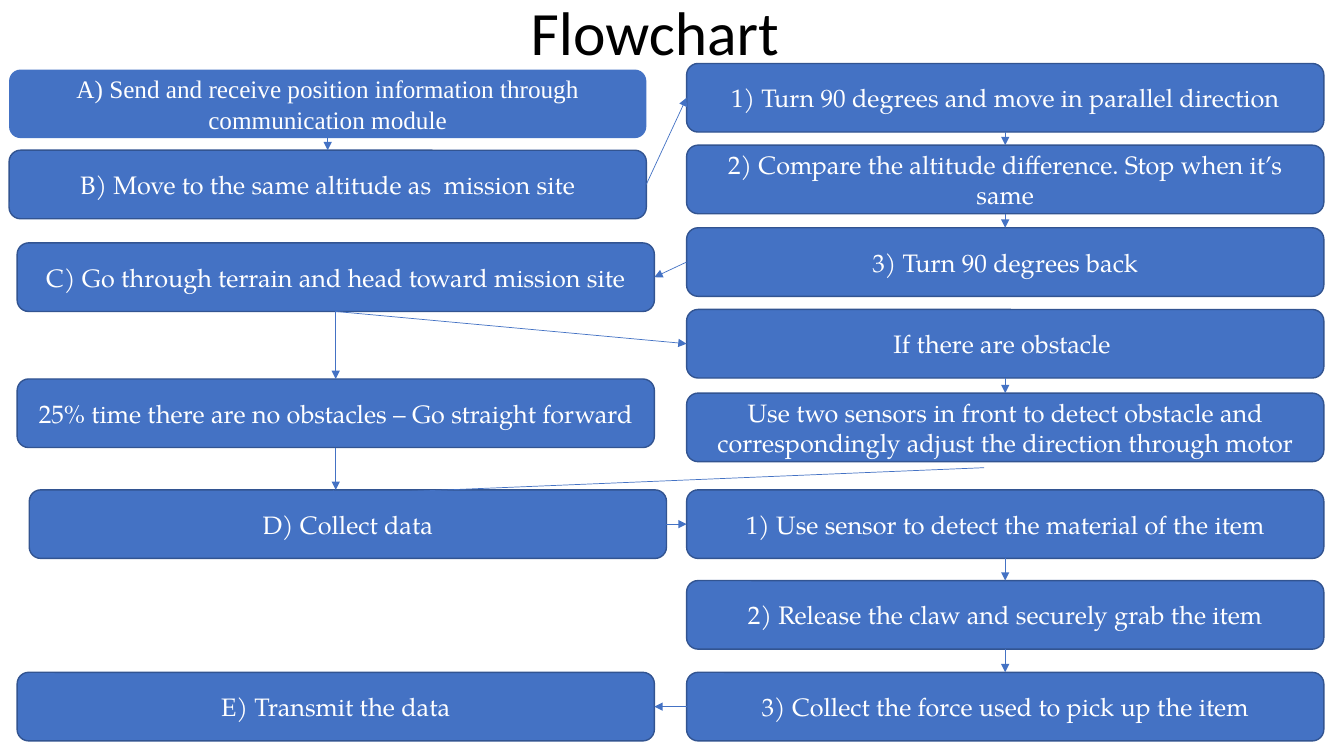
from lxml import etree
from pptx import Presentation
from pptx.dml.color import RGBColor
from pptx.enum import shapes, text
from pptx.oxml.ns import qn
from pptx.util import Inches, Pt

# Content: key -> (left, top, words)
LEFT, RIGHT = 0.17, 6.81
STEPS = {
    "E": (LEFT, 6.67, "E) Transmit the data"),
    "D": (0.29, 4.86, "D) Collect data"),
    "C": (LEFT, 2.41, "C) Go through terrain and head toward mission site"),
    "B": (0.09, 1.49, "B) Move to the same altitude as  mission site"),
    "A": (0.09, 0.69, "A) Send and receive position information through "
                      "communication module"),
    "turn": (RIGHT, 0.63, "1) Turn 90 degrees and move in parallel direction"),
    "height": (RIGHT, 1.44, "2) Compare the altitude difference. "
                            "Stop when it\u2019s same"),
    "back": (RIGHT, 2.26, "3) Turn 90 degrees back"),
    "clear": (LEFT, 3.76, "25% time there are no obstacles \u2013 "
                          "Go straight forward"),
    "block": (RIGHT, 3.07, "If there are obstacle "),
    "dodge": (RIGHT, 3.9, "Use two sensors in front to detect obstacle and "
                          "correspondingly adjust the direction through motor"),
    "sense": (RIGHT, 4.86, "1) Use sensor to detect the material of the item"),
    "grab": (RIGHT, 5.76, "2) Release the claw and securely grab the item"),
    "force": (RIGHT, 6.67, "3) Collect the force used to pick up the item"),
}

# Arrows: (from step, side, to step, side)
TOP, WEST, FOOT, EAST = range(4)
LINKS = [
    ("A", FOOT, "B", TOP),
    ("B", EAST, "turn", WEST),
    ("turn", FOOT, "height", TOP),
    ("height", FOOT, "back", TOP),
    ("back", WEST, "C", EAST),
    ("C", FOOT, "clear", TOP),
    ("C", FOOT, "block", WEST),
    ("block", FOOT, "dodge", TOP),
    ("D", EAST, "sense", WEST),
    ("grab", FOOT, "force", TOP),
    ("sense", FOOT, "grab", TOP),
    ("force", WEST, "E", EAST),
]
# Arrows that end off the middle of a side
LOOSE = [(3.33, 4.44, 3.33, 4.86), (9.76, 4.64, 3.23, 4.91)]

THEME = {
    "blue": RGBColor.from_string("4472C4"),
    "edge": RGBColor.from_string("325491"),
    "white": RGBColor.from_string("FFFFFF"),
    "black": RGBColor.from_string("000000"),
    "body": "TeX Gyre Pagella", "serif": "Times New Roman", "head": "Calibri",
    "small": 18, "large": 44, "rim": 1, "thin": 0.5,
}
WIDE, HIGH = 6.32, 0.68

deck = Presentation()
deck.slide_width, deck.slide_height = Inches(13.33), Inches(7.5)
slide = deck.slides.add_slide(deck.slide_layouts[6])


def write(shape, words, font="body", size="small", color="white", wrap=True):
    frame = shape.text_frame
    frame.word_wrap = wrap
    frame.vertical_anchor = text.MSO_ANCHOR.MIDDLE
    para = frame.paragraphs[0]
    para.alignment = text.PP_ALIGN.CENTER
    run = para.add_run()
    run.text = words
    run.font.name = THEME[font]
    run.font.size = Pt(THEME[size])
    run.font.color.rgb = THEME[color]


def draw_step(key, left, top, words):
    box = slide.shapes.add_shape(
        shapes.MSO_SHAPE.FLOWCHART_ALTERNATE_PROCESS,
        Inches(left), Inches(top), Inches(WIDE), Inches(HIGH))
    box.shadow.inherit = False
    box.fill.solid()
    box.fill.fore_color.rgb = THEME["blue"]
    if key == "A":
        box.line.fill.background()
    else:
        box.line.color.rgb = THEME["edge"]
        box.line.width = Pt(THEME["rim"])
    write(box, words, font="serif" if key == "A" else "body")
    return box


def draw_arrow(*ends):
    line = slide.shapes.add_connector(
        shapes.MSO_CONNECTOR.STRAIGHT, *(Inches(end) for end in ends))
    line.line.color.rgb = THEME["blue"]
    line.line.width = Pt(THEME["thin"])
    props = line.line._get_or_add_ln()
    etree.SubElement(props, qn("a:tailEnd"), type="triangle")
    etree.SubElement(props.getparent(), qn("a:effectLst"))
    return line


# Steps
boxes = {key: draw_step(key, *step) for key, step in STEPS.items()}

# Arrows
for start, out, goal, into in LINKS:
    arrow = draw_arrow(0, 0, 0, 0)
    arrow.begin_connect(boxes[start], out)
    arrow.end_connect(boxes[goal], into)
for ends in LOOSE:
    draw_arrow(*ends)

# Title
title = slide.shapes.add_textbox(
    Inches(5.15), Inches(-0.11), Inches(2.69), Inches(0.84))
write(title, "Flowchart", font="head", size="large", color="black", wrap=False)
title.text_frame.auto_size = text.MSO_AUTO_SIZE.SHAPE_TO_FIT_TEXT

deck.save("out.pptx")
